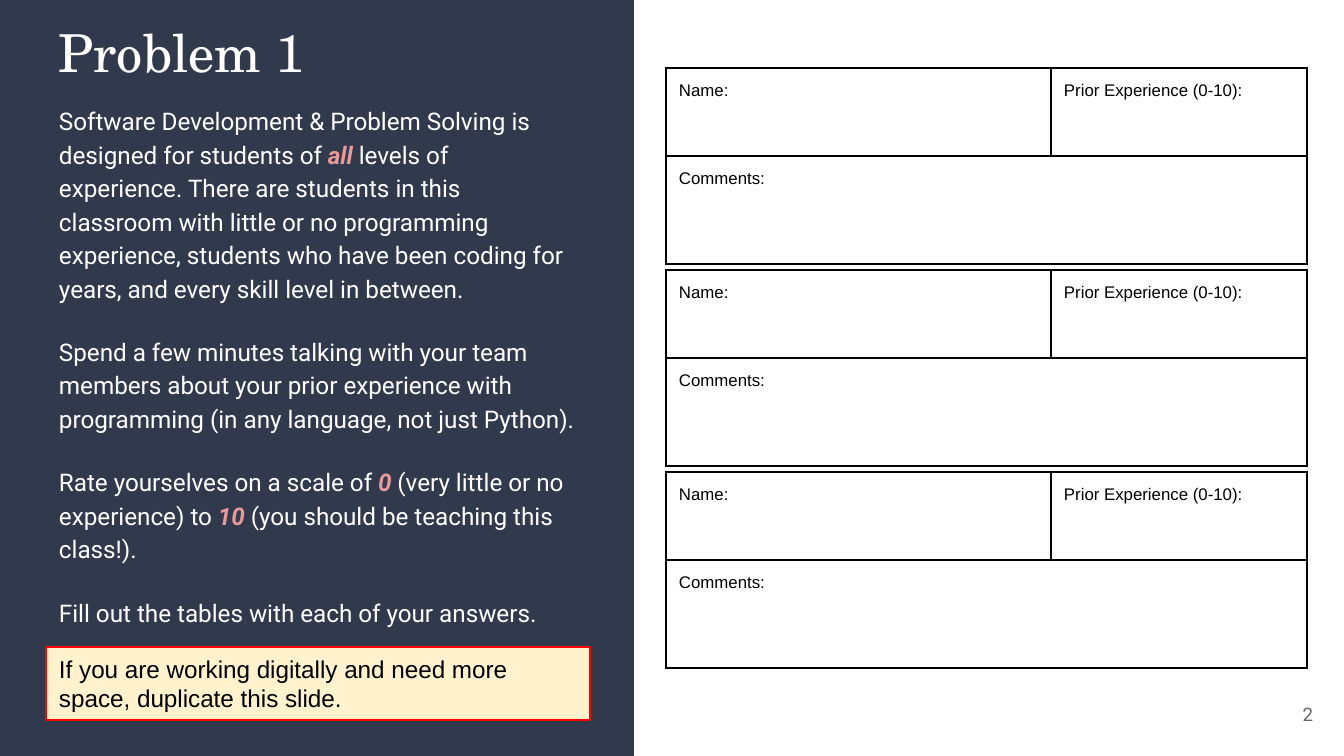
from pptx import Presentation
from pptx.dml.color import RGBColor
from pptx.enum.shapes import MSO_SHAPE
from pptx.enum.text import MSO_ANCHOR, MSO_AUTO_SIZE, PP_ALIGN
from pptx.oxml import parse_xml
from pptx.oxml.ns import nsdecls
from pptx.util import Pt

PX = 914400 / 134.4
NAVY, WHITE, BLACK, PINK = "31394D", "FFFFFF", "000000", "EA9999"
CREAM, RED, GRAY = "FFF2CC", "FF0000", "666666"

TITLE = [["Problem 1"]]
BODY = [
    ["Software Development & Problem Solving is designed for students of ", ("all ",),
     "levels of experience. There are students in this classroom with little or no "
     "programming experience, students who have been coding for years, and every "
     "skill level in between."],
    ["Spend a few minutes talking with your team members about your prior experience "
     "with programming (in any language, not just Python)."],
    ["Rate yourselves on a scale of ", ("0",), " (very little or no experience) to ",
     ("10",), " (you should be teaching this class!)."],
    ["Fill out the tables with each of your answers."],
]
NOTE = [["If you are working digitally and need more space, duplicate this slide."]]
NUMBER = [["2"]]
LABELS = {(0, 0): "Name:", (0, 1): "Prior Experience (0-10):", (1, 0): "Comments:"}

TITLE_FONT = {"name": "TeX Gyre Schola", "size": Pt(28), "color": WHITE}
BODY_FONT = {"name": "Roboto", "size": Pt(13), "color": WHITE}
NOTE_FONT = {"name": "Arial", "size": Pt(13), "color": BLACK}
NUMBER_FONT = {"name": "Roboto", "size": Pt(10), "color": GRAY}
CELL_FONT = {"name": "Arial", "size": Pt(9), "color": BLACK}
STRONG = {"bold": True, "italic": True, "color": PINK}

COLS, ROWS = (385, 256), (88, 108)
TABLE_X, TABLE_Y, TABLE_PITCH, TABLE_COUNT = 666, 68, 202, 3
INSET = 13


def px(n):
    """Turn px into EMU."""
    return round(n * PX)


def rgb(color):
    """Turn a hex string into a colour."""
    return RGBColor.from_string(color)


def set_font(font, fmt):
    """Apply a dict of format values to a font."""
    for key, value in fmt.items():
        if key == "color":
            font.color.rgb = rgb(value)
        else:
            setattr(font, key, value)


def place(sp, *box):
    """Set left, top, width and height in px."""
    for key, value in zip(("left", "top", "width", "height"), box):
        setattr(sp, key, px(value))


def write(tf, paras, font, anchor=MSO_ANCHOR.TOP, align=PP_ALIGN.LEFT, spacing=1.0, gap=0):
    """Fill a text frame; runs given as tuples are emphasised."""
    frame = {"word_wrap": True, "auto_size": MSO_AUTO_SIZE.NONE, "vertical_anchor": anchor}
    frame.update({f"margin_{side}": px(INSET) for side in ("left", "right", "top", "bottom")})
    for key, value in frame.items():
        setattr(tf, key, value)
    for i, runs in enumerate(paras):
        p = tf.add_paragraph() if i else tf.paragraphs[0]
        para = {"alignment": align, "line_spacing": spacing,
                "space_before": Pt(gap if i else 0), "space_after": Pt(0)}
        for key, value in para.items():
            setattr(p, key, value)
        pPr = p._p.get_or_add_pPr()
        pPr.set("marL", "0")
        pPr.set("indent", "0")
        pPr.append(parse_xml(f"<a:buNone {nsdecls('a')}/>"))
        for run in runs:
            strong = isinstance(run, tuple)
            r = p.add_run()
            r.text = run[0] if strong else run
            set_font(r.font, {**font, **(STRONG if strong else {})})


def add_borders(cell):
    """Draw a black line on each side of a cell."""
    tcPr = cell._tc.get_or_add_tcPr()
    for i, side in enumerate("LRTB"):
        tcPr.insert(i, parse_xml(
            f'<a:ln{side} {nsdecls("a")} w="{Pt(1.5)}"><a:solidFill>'
            f'<a:srgbClr val="{BLACK}"/></a:solidFill></a:ln{side}>'))


def add_answer_table(s, top):
    """Add one answer form at the given top."""
    tbl = s.shapes.add_table(len(ROWS), len(COLS), px(TABLE_X), px(top),
                             px(sum(COLS)), px(sum(ROWS))).table
    tbl.first_row = tbl.horz_banding = False
    for col, width in zip(tbl.columns, COLS):
        col.width = px(width)
    for row, height in zip(tbl.rows, ROWS):
        row.height = px(height)
    tbl.cell(1, 0).merge(tbl.cell(1, 1))
    for cell in tbl.iter_cells():
        cell.fill.background()
        add_borders(cell)
    for (row, col), label in LABELS.items():
        cell = tbl.cell(row, col)
        for side in ("left", "right", "top", "bottom"):
            setattr(cell, f"margin_{side}", px(INSET))
        r = cell.text_frame.paragraphs[0].add_run()
        r.text = label
        set_font(r.font, CELL_FONT)


def main():
    """Build the slide."""
    prs = Presentation()
    prs.slide_width, prs.slide_height = px(1344), px(756)
    s = prs.slides.add_slide(prs.slide_layouts[3])
    title, body, note = s.placeholders

    panel = s.shapes.add_shape(MSO_SHAPE.RECTANGLE, 0, 0, px(634), px(756))
    panel.shadow.inherit = False
    panel.fill.solid()
    panel.fill.fore_color.rgb = rgb(NAVY)
    panel.line.fill.background()
    title.element.addprevious(panel.element)

    place(title, 46, 7, 544, 94)
    write(title.text_frame, TITLE, TITLE_FONT)
    place(body, 46, 89, 544, 552)
    write(body.text_frame, BODY, BODY_FONT, spacing=1.15, gap=16)

    place(note, 46, 647, 544, 73)
    note.fill.solid()
    note.fill.fore_color.rgb = rgb(CREAM)
    note.line.color.rgb = rgb(RED)
    note.line.width = Pt(1.5)
    write(note.text_frame, NOTE, NOTE_FONT, MSO_ANCHOR.MIDDLE)

    for i in range(TABLE_COUNT):
        add_answer_table(s, TABLE_Y + i * TABLE_PITCH)

    number = s.shapes.add_textbox(px(1246), px(685), px(80), px(58))
    write(number.text_frame, NUMBER, NUMBER_FONT, MSO_ANCHOR.MIDDLE, PP_ALIGN.RIGHT)
    prs.save("out.pptx")


if __name__ == "__main__":
    main()
